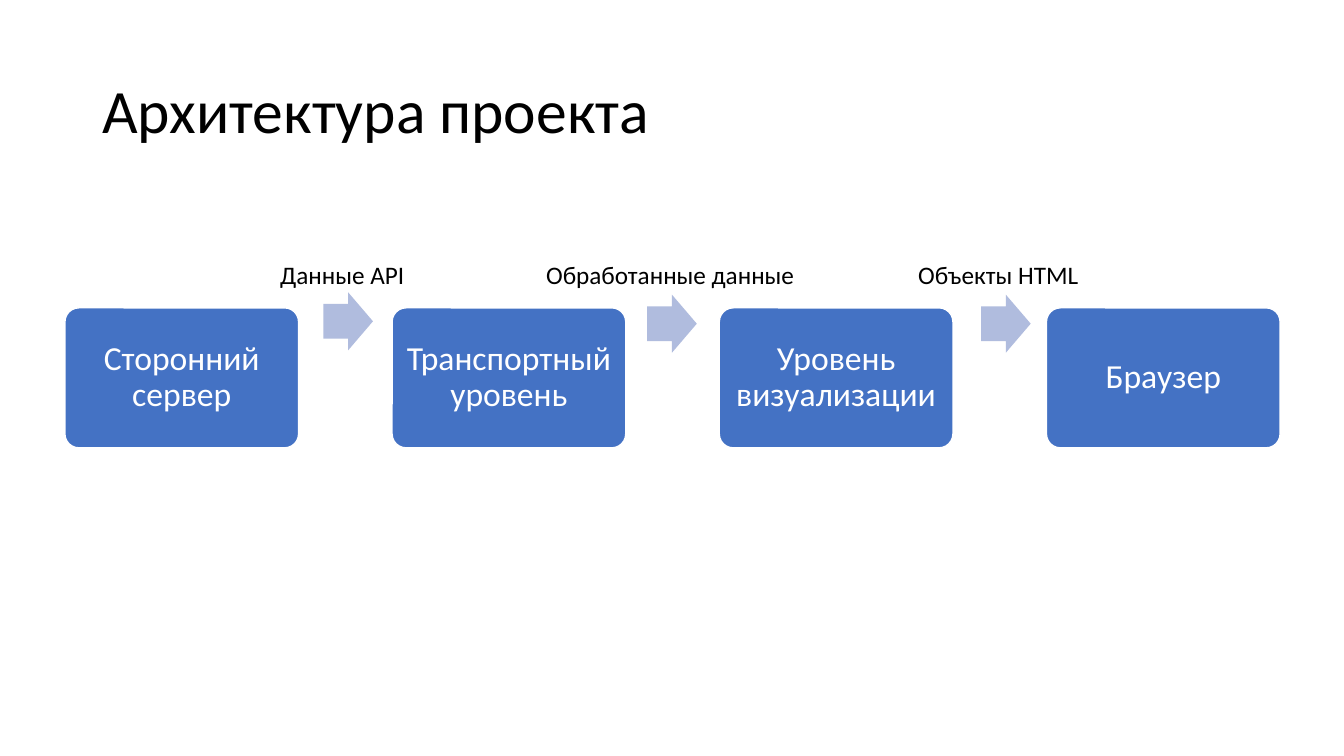
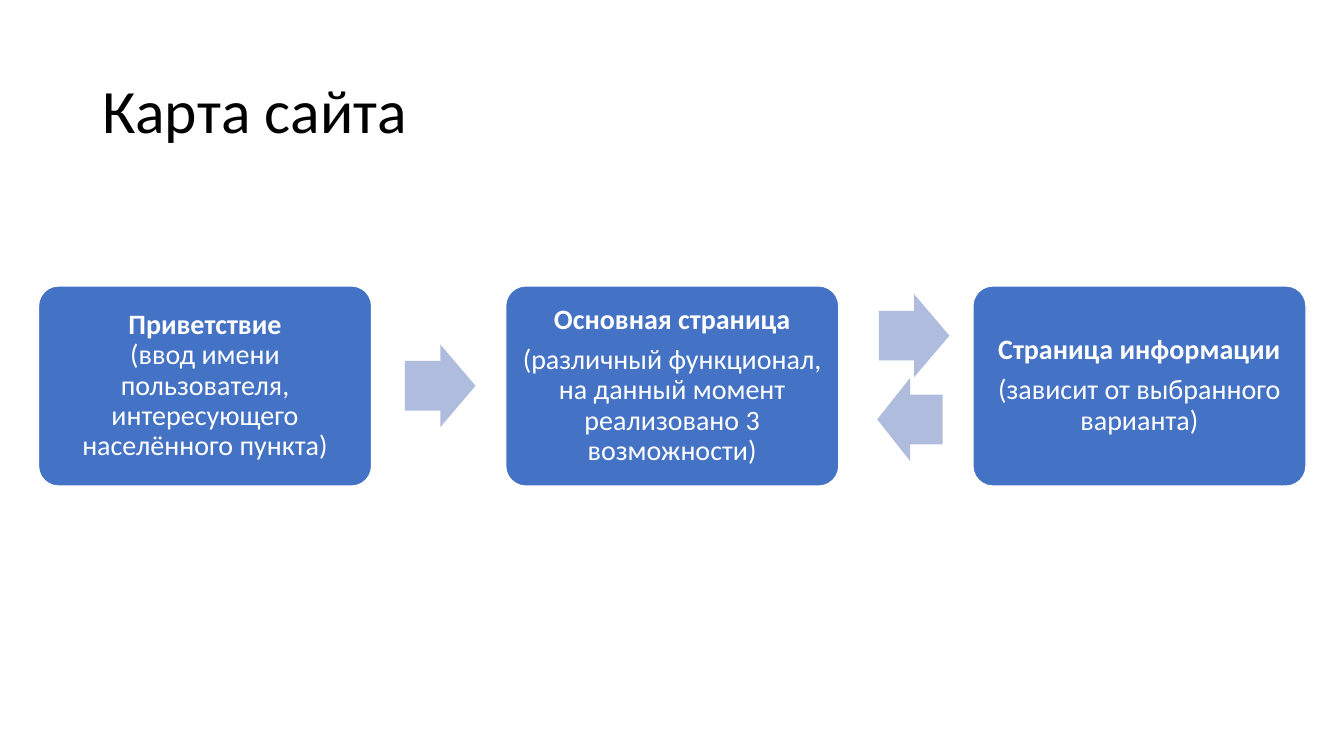
from pptx import Presentation
from pptx.dml.color import RGBColor
from pptx.enum import shapes as sh, text as tx
from pptx.util import Pt

FONT = "Calibri"
BLACK, WHITE, BLUE, PALE = "000000", "FFFFFF", "4472C4", "B0BCDE"


def color(code):
    return RGBColor.from_string(code)


def add_run(para, words, size, ink, bold=False):
    run = para.add_run()
    run.text = words
    font = run.font
    font.name, font.size, font.bold = FONT, Pt(size), bold
    font.color.rgb = color(ink)


def add_shape(slide, kind, box, fill, line=None):
    shape = slide.shapes.add_shape(kind, *map(Pt, box))
    shape.shadow.inherit = False
    shape.fill.solid()
    shape.fill.fore_color.rgb = color(fill)
    if line:
        shape.line.color.rgb = color(line)
        shape.line.width = Pt(1)
    else:
        shape.line.fill.background()
    return shape


def add_title(slide, words):
    frame = slide.shapes.add_textbox(Pt(66), Pt(28.75), Pt(828), Pt(104.4)).text_frame
    frame.word_wrap = True
    frame.vertical_anchor = tx.MSO_ANCHOR.MIDDLE
    para = frame.paragraphs[0]
    para.line_spacing = 0.9
    add_run(para, words, 44, BLACK)


def add_label(slide, left, width, words):
    frame = slide.shapes.add_textbox(Pt(left), Pt(181.5), Pt(width), Pt(29)).text_frame
    frame.word_wrap = False
    frame.auto_size = tx.MSO_AUTO_SIZE.SHAPE_TO_FIT_TEXT
    add_run(frame.paragraphs[0], words, 18, BLACK)


def add_arrow(slide, box, turn=0):
    arrow = add_shape(slide, sh.MSO_SHAPE.RIGHT_ARROW, box, PALE)
    arrow.adjustments[0], arrow.adjustments[1] = 0.6, 0.5
    arrow.rotation = turn


def add_card(slide, box, size, paras):
    """Each paragraph is a list of (words, bold); None breaks the line."""
    card = add_shape(slide, sh.MSO_SHAPE.ROUNDED_RECTANGLE, box, BLUE, WHITE)
    card.adjustments[0] = 0.1
    frame = card.text_frame
    frame.word_wrap = True
    frame.vertical_anchor = tx.MSO_ANCHOR.MIDDLE
    pad = Pt(size * 0.3)
    frame.margin_left = frame.margin_right = pad
    frame.margin_top = frame.margin_bottom = pad
    for i, parts in enumerate(paras):
        para = frame.add_paragraph() if i else frame.paragraphs[0]
        para.alignment = tx.PP_ALIGN.CENTER
        para.line_spacing = 0.9
        para.space_after = Pt(size * 0.35)
        for part in parts:
            if part is None:
                para.add_line_break()
            else:
                add_run(para, part[0], size, WHITE, part[1])


def add_row(slide, box, pitch, size, cards):
    left, top, width, height = box
    for i, paras in enumerate(cards):
        add_card(slide, (left + i * pitch, top, width, height), size, paras)


def draw_layers(slide):
    add_title(slide, "Архитектура проекта")
    names = ["Сторонний сервер", "Транспортный уровень",
             "Уровень визуализации", "Браузер"]
    add_row(slide, (46.4, 219.9, 166.9, 100), 233.7, 24,
            [[[(name, False)]] for name in names])
    # Data passed between the layers
    for left, top in [(231, 208.8), (462.3, 210.5), (700.8, 210.5)]:
        add_arrow(slide, (left, top, 35.4, 41.4))
    for left, width, words in [(193, 104.4, "Данные API"),
                               (383, 193.7, "Обработанные данные"),
                               (648.7, 130.3, "Объекты HTML")]:
        add_label(slide, left, width, words)


def draw_map(slide):
    add_title(slide, "Карта сайта")
    hello = [[("Приветствие", True), None,
              ("(ввод имени пользователя, интересующего населённого пункта)", False)]]
    main_page = [[("Основная страница", True)],
                 [("(различный функционал, на данный момент реализовано 3 возможности)", False)]]
    info = [[("Страница информации", True)],
            [("(зависит от выбранного варианта)", False)]]
    add_row(slide, (27.5, 204.2, 238, 143), 333.7, 20, [hello, main_page, info])
    # Forward moves, then the way back
    add_arrow(slide, (289.3, 246, 50.4, 59.2))
    add_arrow(slide, (627.8, 210.2, 50.4, 59.2))
    add_arrow(slide, (626.6, 270, 46.8, 59.2), 180)


def main():
    deck = Presentation()
    deck.slide_width, deck.slide_height = Pt(960), Pt(540)
    for draw in (draw_layers, draw_map):
        draw(deck.slides.add_slide(deck.slide_layouts[6]))
    deck.save("out.pptx")


if __name__ == "__main__":
    main()
